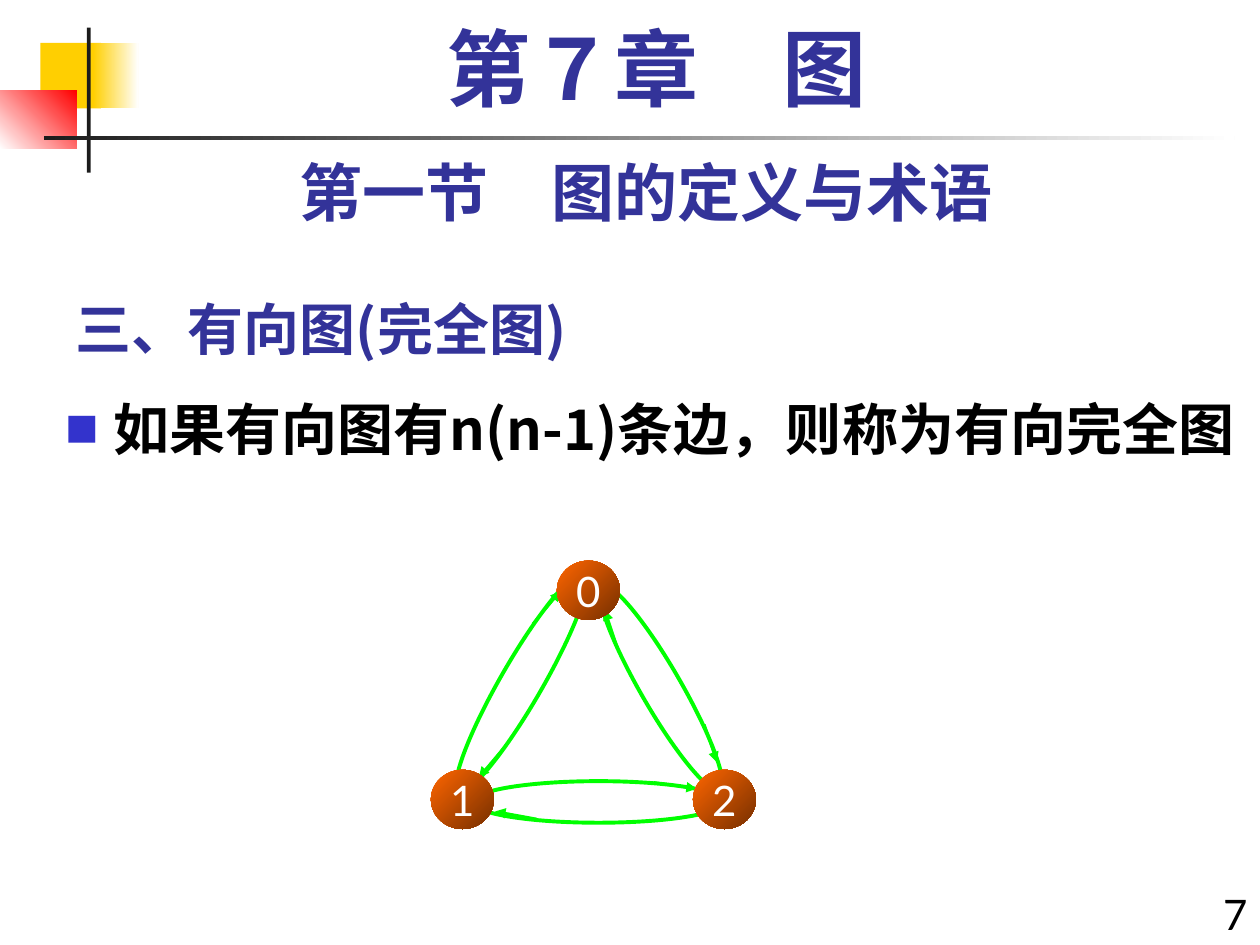
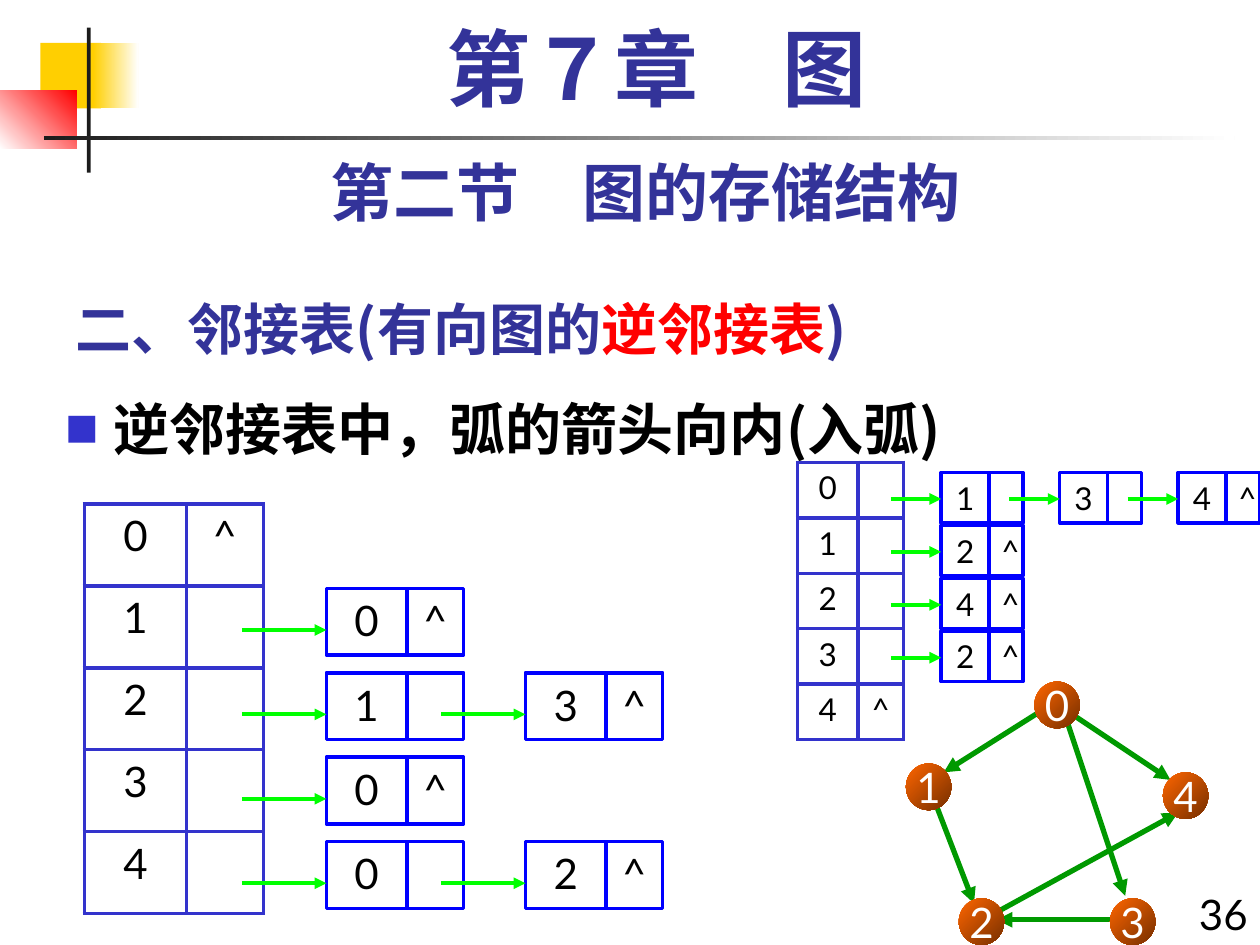
from dataclasses import dataclass

from pptx import Presentation
from pptx.dml.color import RGBColor
from pptx.enum.shapes import MSO_CONNECTOR as Connector, MSO_SHAPE as Preset
from pptx.enum.text import MSO_ANCHOR as Anchor, MSO_AUTO_SIZE as AutoSize, PP_ALIGN as Align
from pptx.oxml import parse_xml
from pptx.oxml.ns import nsdecls, qn
from pptx.util import Inches, Pt


@dataclass(frozen=True)
class Theme:
    # Colours
    navy: str = "333399"
    black: str = "000000"
    white: str = "FFFFFF"
    red: str = "FF0000"
    yellow: str = "FFCF01"
    ink: str = "1C1C1C"
    bullet: str = "3333CC"
    cell: str = "0000FF"
    link: str = "00FF00"
    edge: str = "009900"
    node: tuple = ("FF6600", "762F00")
    # Fonts and type sizes
    latin: str = "Lato"
    chinese: str = "Noto Sans CJK SC"
    serif: str = "Times New Roman"
    chapter: int = 48
    section: int = 36
    body: int = 32
    label: int = 24
    small: int = 18


THEME = Theme()


@dataclass(frozen=True)
class ListSize:
    """Measures of one adjacency list: table columns, rows and linked cells."""
    columns: tuple
    row: float
    cells: tuple
    height: float
    step: float
    pitch: float
    link: float
    link_y: float
    chain_at: tuple
    type_size: int


LARGE = ListSize((0.81, 0.61), 0.65, (0.64, 0.45), 0.53, 1.58, 0.67, 0.67, 0.33,
                 (1.92, 0.67), THEME.label)
SMALL = ListSize((0.48, 0.36), 0.44, (0.38, 0.27), 0.4, 0.94, 0.42, 0.4, 0.21,
                 (1.14, 0.08), THEME.small)


# Shared helpers

def color(value):
    return RGBColor.from_string(value)


def inches(values):
    return [Inches(value) for value in values]


def child(tag, attributes="", content=""):
    return parse_xml(f'<a:{tag} {nsdecls("a")} {attributes}>{content}</a:{tag}>')


def add_span(para, text, size, ink, font=THEME.latin, bold=False):
    span = para.add_run()
    span.text = text
    span.font.size = Pt(size)
    span.font.bold = bold
    span.font.color.rgb = color(ink)
    span.font.name = font
    span._r.get_or_add_rPr().find(qn("a:latin")).addnext(
        child("ea", f'typeface="{THEME.chinese}"'))


def add_line_of_text(page, box, text, size, ink, align, **style):
    frame = page.shapes.add_textbox(*inches(box)).text_frame
    frame.word_wrap = True
    para = frame.paragraphs[0]
    para.alignment = align
    add_span(para, text, size, ink, **style)
    return para


def add_block(shapes, box, preset=Preset.RECTANGLE, fill=None, angle=0, line=None):
    """Fill is a colour, a pair of gradient colours or None; angle runs clockwise."""
    block = shapes.add_shape(preset, *inches(box))
    block.shadow.inherit = False
    if fill is None:
        block.fill.background()
    elif isinstance(fill, tuple):
        block.fill.gradient()
        block.fill.gradient_angle = -angle % 360
        for stop, value in zip(block.fill.gradient_stops, fill):
            stop.color.rgb = color(value)
    else:
        block.fill.solid()
        block.fill.fore_color.rgb = color(fill)
    if line:
        block.line.color.rgb = color(line[0])
        block.line.width = Pt(line[1])
    else:
        block.line.fill.background()
    return block


def add_arrow(shapes, ends, ink, width):
    arrow = shapes.add_connector(Connector.STRAIGHT, *inches(ends))
    arrow.line.color.rgb = color(ink)
    arrow.line.width = Pt(width)
    arrow.line._get_or_add_ln().append(child("tailEnd", 'type="triangle"'))
    arrow._element.spPr.append(child("effectLst"))


def shift(ends, origin):
    left, top = origin
    x1, y1, x2, y2 = ends
    return left + x1, top + y1, left + x2, top + y2


# Parts every page has

def add_ornament(page):
    shapes = page.shapes
    add_block(shapes, (0.32, 0.34, 0.48, 0.52), fill=THEME.yellow)
    add_block(shapes, (0.74, 0.34, 0.36, 0.52), fill=(THEME.yellow, THEME.white))
    add_block(shapes, (0, 0.72, 0.61, 0.46), fill=(THEME.white, THEME.red), angle=315)
    add_block(shapes, (0.69, 0.22, 0.03, 1.15), fill=THEME.ink)
    add_block(shapes, (0.35, 1.08, 9.45, 0.03), fill=(THEME.ink, THEME.white))


def place(placeholder, box):
    placeholder.left, placeholder.top, placeholder.width, placeholder.height = inches(box)
    frame = placeholder.text_frame
    frame.auto_size = AutoSize.NONE
    frame.word_wrap = True
    return frame


def fill_title(page, spans):
    frame = place(page.shapes.title, (0.5, 2.17, 7.25, 0.75))
    frame.vertical_anchor = Anchor.BOTTOM
    para = frame.paragraphs[0]
    para.alignment = Align.LEFT
    for text, ink in spans:
        add_span(para, text, THEME.body, ink, THEME.chinese, True)


def fill_body(page, text):
    para = place(page.placeholders[1], (0.42, 3.08, 9.58, 4.42)).paragraphs[0]
    add_span(para, text, THEME.body, THEME.black, THEME.chinese, True)
    properties = para._p.get_or_add_pPr()
    properties.set("marL", str(Inches(0.38)))
    properties.set("indent", str(-Inches(0.38)))
    for part in (child("buClr", content=f'<a:srgbClr val="{THEME.bullet}"/>'),
                 child("buSzPct", 'val="60000"'),
                 child("buFont", f'typeface="{THEME.chinese}"'),
                 child("buChar", 'char="■"')):
        properties.append(part)


def add_page(deck, section, title, body, number):
    page = deck.slides.add_slide(deck.slide_layouts[1])
    add_ornament(page)
    fill_title(page, title)
    fill_body(page, body)
    add_line_of_text(page, (9.33, 7, 0.67, 0.5), number, THEME.label, THEME.black, Align.RIGHT)
    add_line_of_text(page, (0.5, 1.17, 9.25, 0.7), section, THEME.section, THEME.navy,
                     Align.CENTER, bold=True)
    chapter = add_line_of_text(page, (0.67, 0.17, 9.08, 0.83), "第７章　图", THEME.chapter,
                               THEME.navy, Align.CENTER, font=THEME.serif, bold=True)
    chapter.line_spacing = 0.9
    return page


# Graphs

def add_nodes(shapes, origin, size, places):
    for label, (x, y) in places.items():
        box = (origin[0] + x, origin[1] + y, *size)
        node = add_block(shapes, box, Preset.OVAL, THEME.node, 45)
        frame = node.text_frame
        frame.word_wrap = False
        frame.margin_left = frame.margin_right = 0
        frame.vertical_anchor = Anchor.MIDDLE
        para = frame.paragraphs[0]
        para.alignment = Align.CENTER
        add_span(para, label, THEME.label, THEME.white)


def add_complete_graph(page, origin):
    shapes = page.shapes.add_group_shape().shapes
    left, top = origin
    # Each ellipse holds the two opposite arcs of one side
    sides = [
        ((0.33, 1.75, 2, 0.33), 0,
         [(1.77, 1.76, 2.11, 1.81), (0.84, 2.05, 0.51, 1.99)]),
        ((-0.28, 0.8, 2, 0.33), 300,
         [(0.81, 0.5, 1.03, 0.24), (0.6, 1.46, 0.38, 1.72)]),
        ((0.89, 0.85, 1.87, 0.32), 60,
         [(2.17, 1.3, 2.27, 1.6), (1.48, 0.69, 1.38, 0.39)]),
    ]
    for (x, y, width, height), turn, tips in sides:
        arcs = add_block(shapes, (left + x, top + y, width, height), Preset.OVAL,
                         line=(THEME.link, 2.25))
        arcs.rotation = turn
        for ends in tips:
            add_arrow(shapes, shift(ends, origin), THEME.link, 1.5)
    add_nodes(shapes, origin, (0.5, 0.47),
              {"1": (0, 1.66), "2": (2.08, 1.66), "0": (1, 0)})


def add_directed_graph(page, origin):
    shapes = page.shapes.add_group_shape().shapes
    edges = [
        (1.32, 0.26, 2.1, 0.78),    # 0 to 4
        (0.24, 0.98, 0.54, 1.76),   # 1 to 2
        (1.14, 0.19, 0.3, 0.72),    # 0 to 1
        (1.26, 0.26, 1.74, 1.7),    # 0 to 3
        (1.62, 1.89, 0.72, 1.89),   # 3 to 2
        (0.72, 1.83, 2.16, 1.04),   # 2 to 4
    ]
    for ends in edges:
        add_arrow(shapes, shift(ends, origin), THEME.edge, 3)
    add_nodes(shapes, origin, (0.36, 0.37),
              {"1": (0, 0.65), "3": (1.62, 1.72), "2": (0.42, 1.72),
               "4": (2.04, 0.72), "0": (1.02, 0)})


# Adjacency lists

def write_cell(frame, text, size):
    if text:
        para = frame.paragraphs[0]
        para.alignment = Align.CENTER
        add_span(para, text, size, THEME.black)


def add_vertex_table(page, origin, size, empty_vertex):
    box = (*origin, sum(size.columns), 5 * size.row)
    table = page.shapes.add_table(5, 2, *inches(box)).table
    table.first_row = table.horz_banding = False
    for column, width in zip(table.columns, size.columns):
        column.width = Inches(width)
    for vertex, row in enumerate(table.rows):
        row.height = Inches(size.row)
        for cell, text in zip(row.cells, (str(vertex), "^" if vertex == empty_vertex else "")):
            write_cell(cell.text_frame, text, size.type_size)
            for edge in "LRTB":
                cell._tc.get_or_add_tcPr().append(child(
                    f"ln{edge}", f'w="{Pt(2.25)}"',
                    f'<a:solidFill><a:srgbClr val="{THEME.bullet}"/></a:solidFill>'))
            cell.fill.background()


def add_chains(page, origin, size, chains):
    shapes = page.shapes.add_group_shape().shapes
    for row, chain in enumerate(chains):
        top = origin[1] + size.chain_at[1] + row * size.pitch
        for position, value in enumerate(chain):
            left = origin[0] + size.chain_at[0] + position * size.step
            mark = "^" if position == len(chain) - 1 else ""
            x = left
            for text, width in zip((value, mark), size.cells):
                block = add_block(shapes, (x, top, width, size.height), line=(THEME.cell, 2))
                block.text_frame.vertical_anchor = Anchor.TOP
                block.text_frame.word_wrap = True
                write_cell(block.text_frame, text, size.type_size)
                x += width
            y = top + size.link_y
            add_arrow(shapes, (left - size.link, y, left, y), THEME.link, 2.25)


def add_adjacency_list(page, origin, size, empty_vertex, chains):
    add_vertex_table(page, origin, size, empty_vertex)
    add_chains(page, origin, size, chains)


def main():
    deck = Presentation()
    deck.slide_width, deck.slide_height = Inches(10), Inches(7.5)

    page = add_page(deck, "第一节　图的定义与术语", [("三、有向图(完全图)", THEME.navy)],
                    "如果有向图有n(n-1)条边，则称为有向完全图", "7")
    add_complete_graph(page, (3.42, 4.45))

    page = add_page(deck, "第二节　图的存储结构",
                    [("二、邻接表(有向图的", THEME.navy), ("逆邻接表", THEME.red),
                     (")", THEME.navy)],
                    "逆邻接表中，弧的箭头向内(入弧)", "36")
    add_directed_graph(page, (7.19, 5.41))
    add_adjacency_list(page, (0.67, 4), LARGE, 0, ["0", "13", "0", "02"])
    add_adjacency_list(page, (6.33, 3.67), SMALL, 4, ["134", "2", "4", "2"])

    deck.save("out.pptx")


if __name__ == "__main__":
    main()
